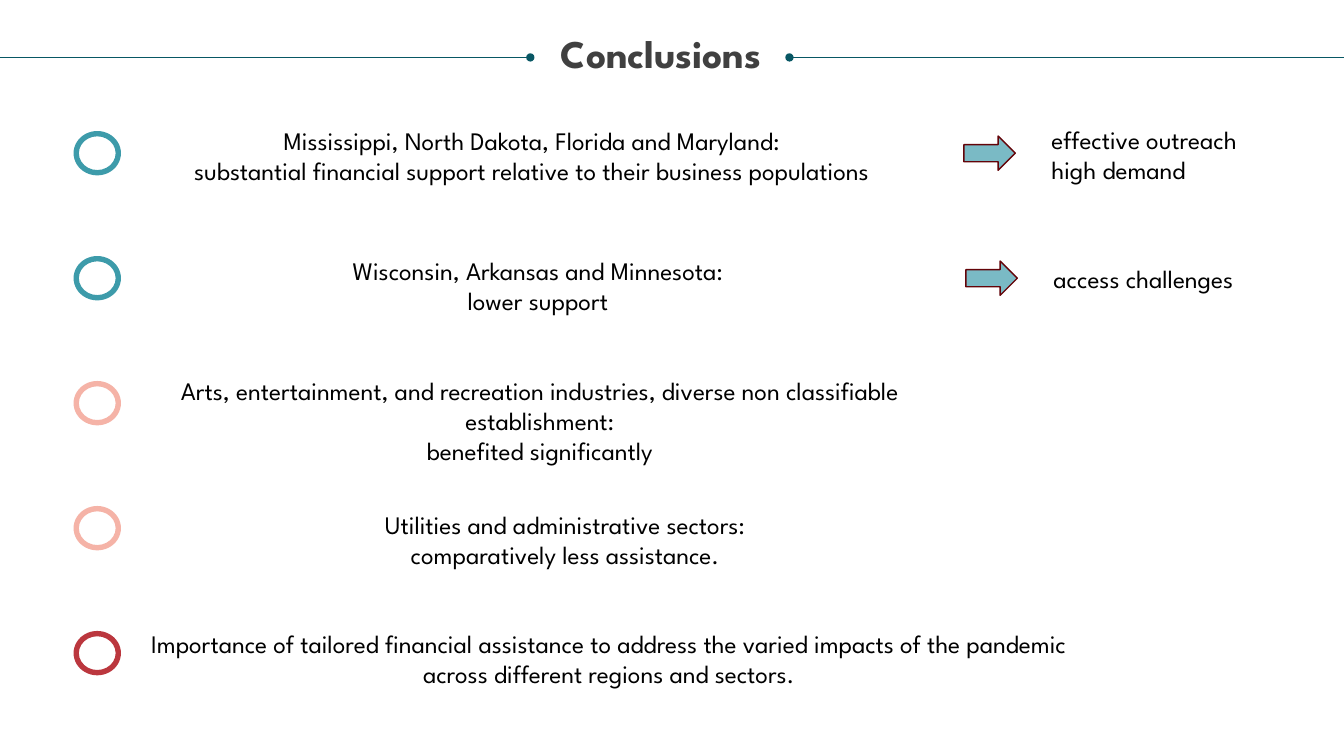
import pptx
import pptx.util
import pptx.oxml.ns
import pptx.oxml.xmlchemy
import pptx.dml.color
import pptx.enum.text
import pptx.enum.shapes
from dataclasses import dataclass

Inches = pptx.util.Inches
Pt = pptx.util.Pt
qn = pptx.oxml.ns.qn
Node = pptx.oxml.xmlchemy.OxmlElement
RGB = pptx.dml.color.RGBColor.from_string
Align = pptx.enum.text.PP_ALIGN
Kind = pptx.enum.shapes.MSO_SHAPE


@dataclass
class Theme:
    font: str = "League Spartan"
    title: str = "404040"
    text: str = "000000"
    rule: str = "085764"
    teal: str = "0D8295"
    pink: str = "F3A091"
    red: str = "AA050E"
    arrow: str = "7ABAC5"
    edge: str = "630308"
    big: int = 28
    body: int = 18


theme = Theme()

TITLE = "Conclusions"
RULES = [(0, 5.26), (13.33, 7.83)]

# colour, text, (left, top, width, height)
ROWS = [
    (theme.teal,
     "Mississippi, North Dakota, Florida and Maryland:\n"
     "substantial financial support relative to their business populations",
     (1.15, 1.19, 8.25, 0.71)),
    (theme.teal,
     "Wisconsin, Arkansas and Minnesota:\nlower support",
     (1.21, 2.48, 8.25, 0.71)),
    (theme.pink,
     "Arts, entertainment, and recreation industries, diverse non classifiable "
     "establishment:\vbenefited significantly",
     (1.23, 3.67, 8.25, 1.01)),
    (theme.pink,
     "Utilities and administrative sectors:\vcomparatively less assistance.",
     (1.48, 5.0, 8.25, 0.71)),
    (theme.red,
     "Importance of tailored financial assistance to address the varied impacts "
     "of the pandemic across different regions and sectors.",
     (1.29, 6.18, 9.5, 0.71)),
]

# row, arrow left, text, (left, top, width, height)
NOTES = [
    (0, 9.56, "effective outreach\nhigh demand", (10.33, 1.18, 2.5, 0.71)),
    (1, 9.58, "access challenges", (10.35, 2.56, 2.47, 0.4)),
]

RING_LEFT, RING_TOP, RING_STEP = 0.73, 1.3, 1.24
RULE_TOP = 0.57


def style(frame, size, color, align, bold=False):
    for par in frame.paragraphs:
        par.alignment = align
        par.font.name = theme.font
        par.font.size = Pt(size)
        par.font.bold = bold
        par.font.color.rgb = RGB(color)


def add_text(slide, text, box, align, wrap):
    frame = slide.shapes.add_textbox(*map(Inches, box)).text_frame
    frame.word_wrap = wrap
    frame.text = text
    style(frame, theme.body, theme.text, align)


def add_title(slide):
    title = slide.shapes.title
    title.left, title.top, title.width, title.height = map(
        Inches, (0.14, 0.34, 12.83, 0.73))
    frame = title.text_frame
    frame.text = TITLE
    frame.auto_size = pptx.enum.text.MSO_AUTO_SIZE.NONE
    frame.vertical_anchor = pptx.enum.text.MSO_ANCHOR.TOP
    frame.margin_left = frame.margin_right = 0
    frame.margin_top = frame.margin_bottom = 0
    style(frame, theme.big, theme.title, Align.CENTER, True)
    frame.paragraphs[0].line_spacing = 0.9


def add_rule(slide, start, end):
    rule = slide.shapes.add_connector(
        pptx.enum.shapes.MSO_CONNECTOR.STRAIGHT,
        Inches(start), Inches(RULE_TOP), Inches(end), Inches(RULE_TOP))
    rule.line.color.rgb = RGB(theme.rule)
    rule.line.width = Pt(0.5)
    props = rule.element.spPr
    dot = Node("a:tailEnd")
    dot.set("type", "oval")
    props.find(qn("a:ln")).append(dot)
    props.append(Node("a:effectLst"))


def add_shape(slide, kind, box, color):
    shape = slide.shapes.add_shape(kind, *map(Inches, box))
    shape.shadow.inherit = False
    shape.fill.solid()
    shape.fill.fore_color.rgb = RGB(color)
    return shape


def add_ring(slide, top, color):
    ring = add_shape(slide, Kind.DONUT, (RING_LEFT, top, 0.47, 0.44), color)
    ring.adjustments[0] = 0.12
    ring.line.fill.background()
    alpha = Node("a:alpha")
    alpha.set("val", "80000")
    ring.element.spPr.find(qn("a:solidFill"))[0].append(alpha)


def add_arrow(slide, left, top):
    arrow = add_shape(slide, Kind.RIGHT_ARROW, (left, top, 0.51, 0.34), theme.arrow)
    arrow.line.color.rgb = RGB(theme.edge)
    arrow.line.width = Pt(1)


def main():
    deck = pptx.Presentation()
    deck.slide_width, deck.slide_height = Inches(13.33), Inches(7.5)
    slide = deck.slides.add_slide(deck.slide_layouts[5])
    add_title(slide)
    for start, end in RULES:
        add_rule(slide, start, end)
    tops = [RING_TOP + RING_STEP * row for row in range(len(ROWS))]
    for top, (color, text, box) in zip(tops, ROWS):
        add_ring(slide, top, color)
        add_text(slide, text, box, Align.CENTER, True)
    for row, left, text, box in NOTES:
        add_arrow(slide, left, tops[row] + 0.05)
        add_text(slide, text, box, Align.LEFT, False)
    deck.save("out.pptx")


if __name__ == "__main__":
    main()
